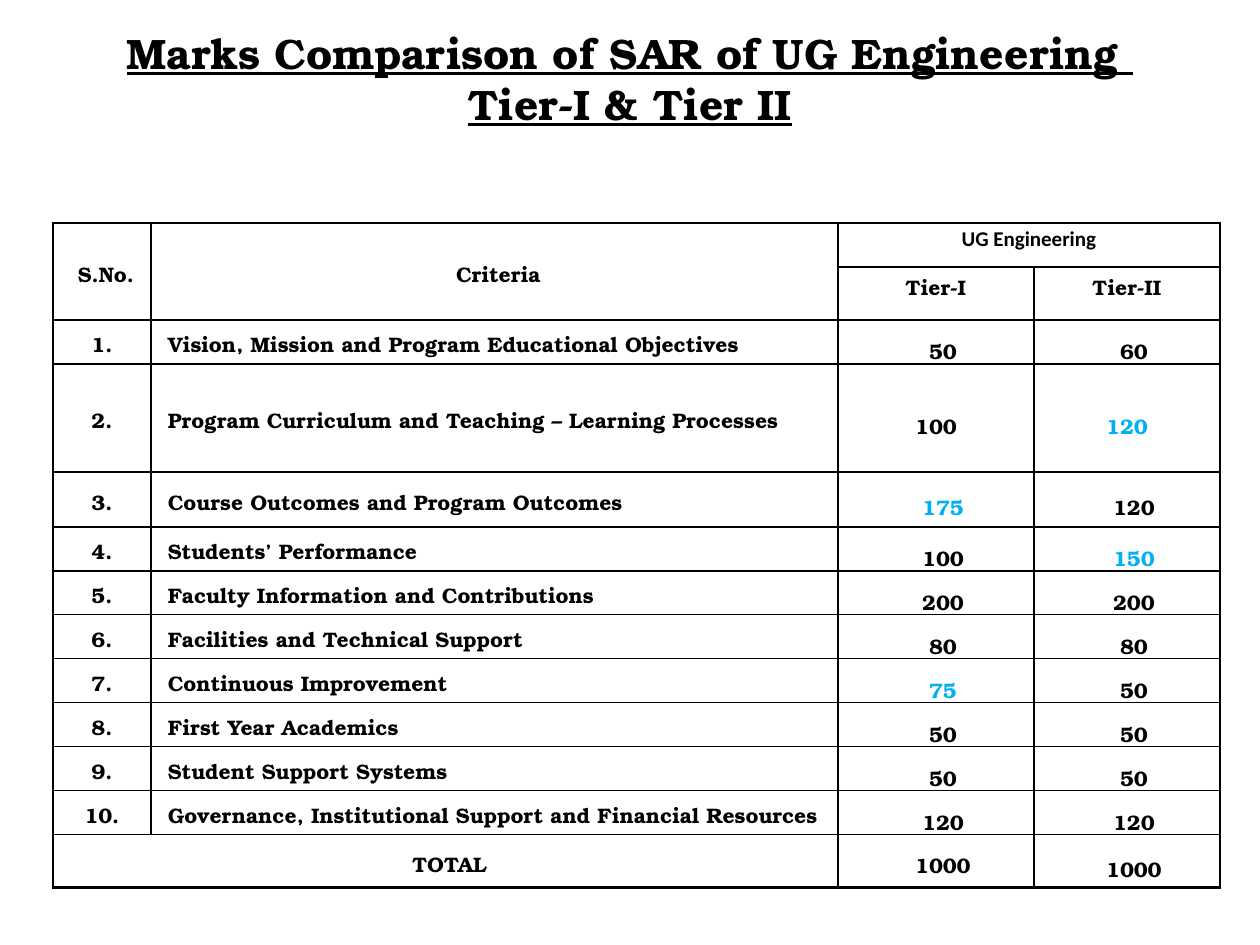
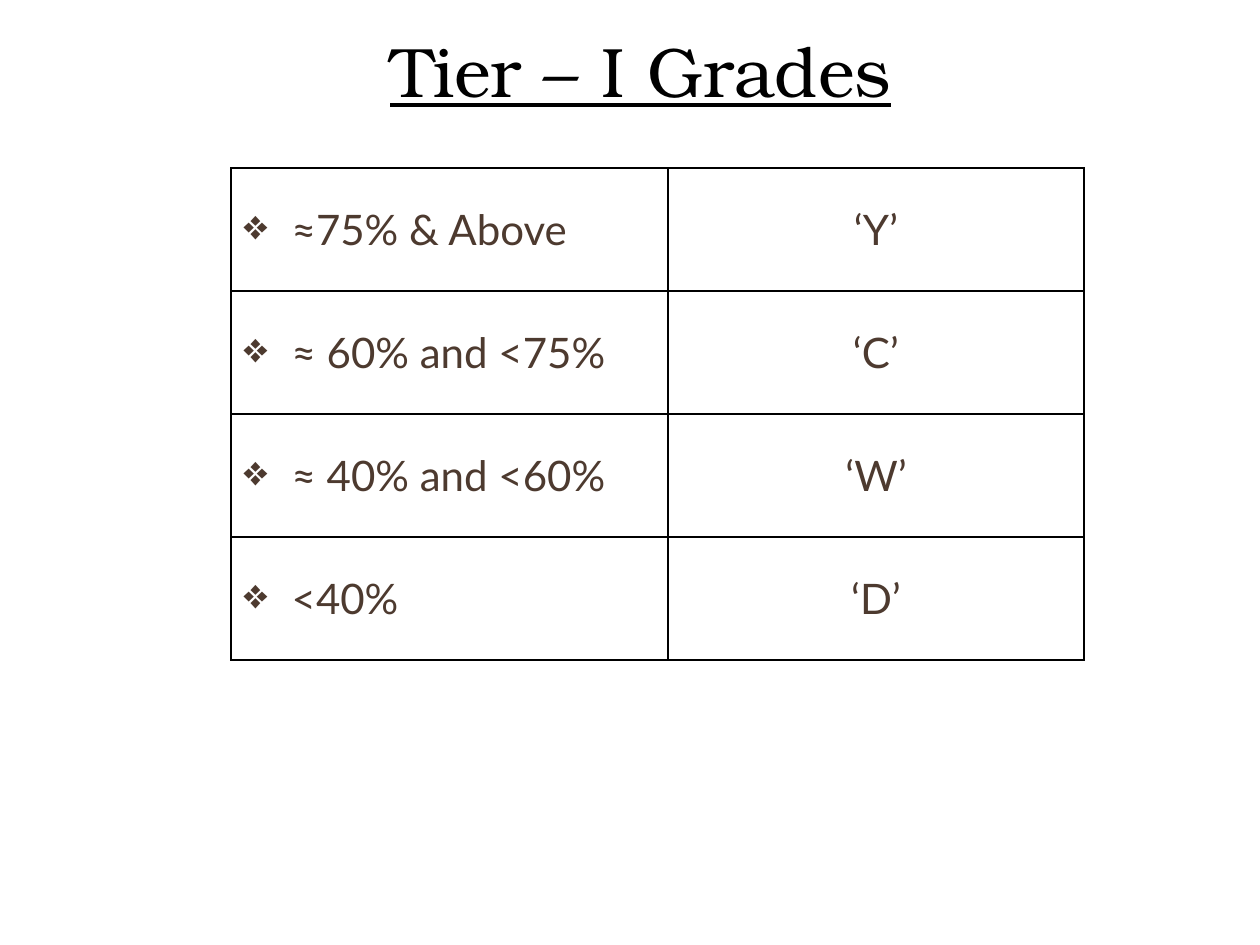
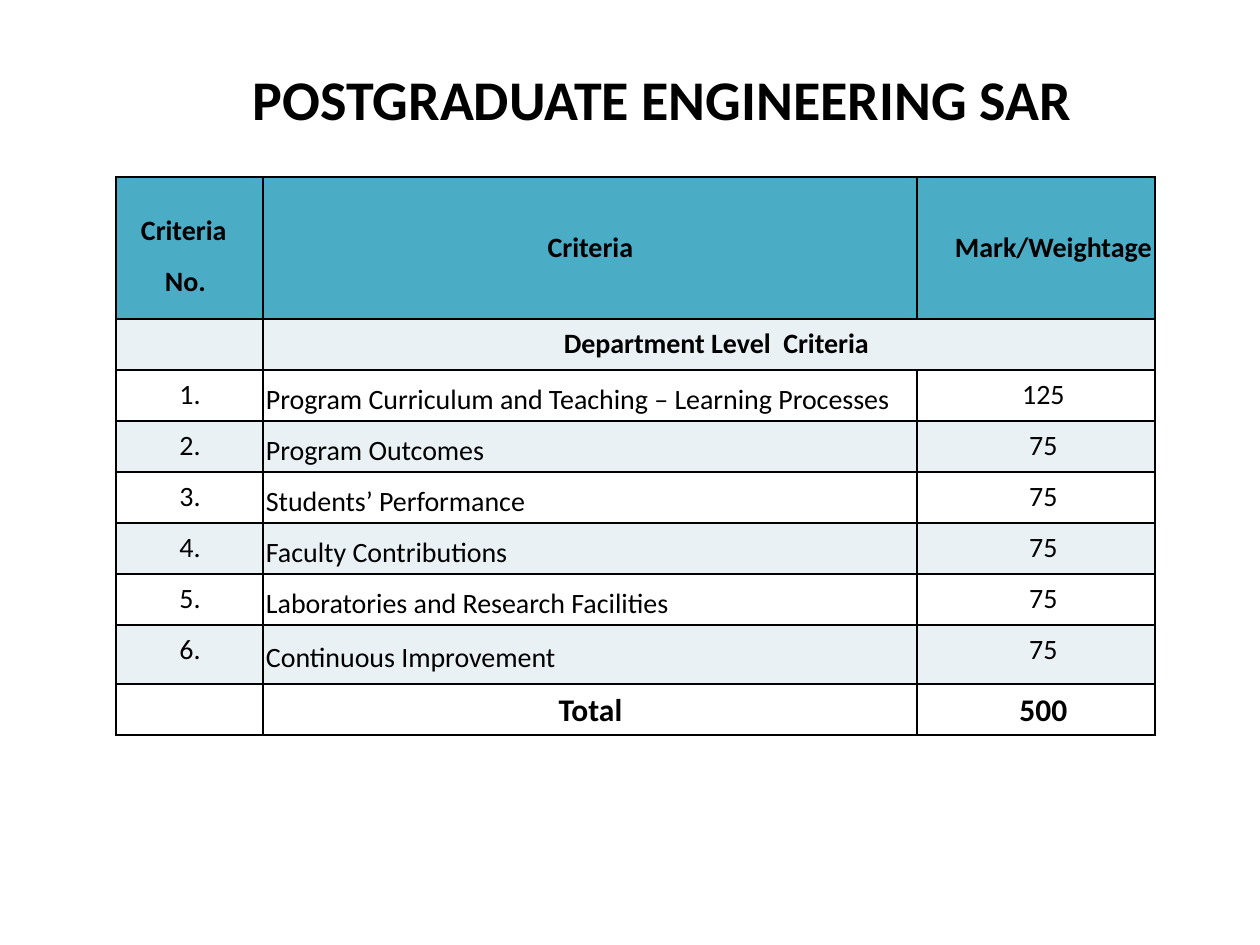
from lxml.etree import SubElement
from pptx import Presentation
from pptx.dml.color import RGBColor
from pptx.enum.text import MSO_ANCHOR, PP_ALIGN
from pptx.oxml.ns import qn
from pptx.util import Emu, Pt


class Theme:
    black = "000000"
    white = "FFFFFF"
    highlight = "00B0F0"
    brown = "4D3A2F"
    header_teal = "4BACC6"
    band_pale = "E9F1F5"
    serif = "TeX Gyre Bonum"
    sans = "Calibri"
    grades = "Lato"
    table_small = Pt(12)
    table_medium = Pt(16)
    table_total = Pt(18)
    table_large = Pt(24)
    title_small = Pt(24.3)
    title_medium = Pt(32)
    title_large = Pt(40)
    thin = 1
    thick = 1.5


def px(length):
    return Emu(round(length * 914400 / 126))


def margins(left, top, right, bottom):
    return {
        "margin_left": px(left),
        "margin_top": px(top),
        "margin_right": px(right),
        "margin_bottom": px(bottom),
    }


def variant(base, **changes):
    merged = dict(base)
    for part, value in changes.items():
        merged[part] = {**base.get(part, {}), **value} if isinstance(value, dict) else value
    return merged


def set_attributes(target, values):
    for name, value in values.items():
        setattr(target, name, value)


class Deck:
    def __init__(self, theme):
        self.theme = theme
        self.presentation = Presentation()
        self.presentation.slide_width = px(1260)
        self.presentation.slide_height = px(945)
        self.slide = None

    def new_slide(self):
        blank = self.presentation.slide_layouts[6]
        self.slide = self.presentation.slides.add_slide(blank)

    def put_text(self, paragraph, text, style):
        paragraph.text = text
        set_attributes(paragraph, style.get("paragraph", {}))
        properties = paragraph._p.get_or_add_pPr()
        left, first = style.get("indent", (0, 0))
        properties.set("marL", str(px(left)))
        properties.set("indent", str(px(first)))
        if "bullet" in style:
            SubElement(properties, qn("a:buChar"), char=style["bullet"])
        for run in paragraph.runs:
            set_attributes(run.font, style["font"])
            run.font.color.rgb = RGBColor.from_string(style.get("color", self.theme.black))

    def title(self, text, bounds, style):
        frame = self.slide.shapes.add_textbox(*map(px, bounds)).text_frame
        frame.word_wrap = True
        set_attributes(frame, style["box"])
        self.put_text(frame.paragraphs[0], text, style)

    def rule(self, cell, widths):
        properties = cell._tc.get_or_add_tcPr()
        for side, width in zip("LRTB", widths):
            line = SubElement(properties, qn(f"a:ln{side}"), w=str(Pt(width)))
            fill = SubElement(line, qn("a:solidFill"))
            SubElement(fill, qn("a:srgbClr"), val=self.theme.black)

    def table(self, origin, widths, heights, rows, rules, merges=()):
        bounds = (*origin, sum(widths), sum(heights))
        table = self.slide.shapes.add_table(len(heights), len(widths), *map(px, bounds)).table
        table.first_row = table.horz_banding = False
        for column, width in zip(table.columns, widths):
            column.width = px(width)
        for row, height in zip(table.rows, heights):
            row.height = px(height)
        for first, last in merges:
            table.cell(*first).merge(table.cell(*last))
        for r, row in enumerate(rows):
            for c, (text, style) in enumerate(row):
                cell = table.cell(r, c)
                self.rule(cell, style.get("rules", rules))
                if "fill" in style:
                    cell.fill.solid()
                    cell.fill.fore_color.rgb = RGBColor.from_string(style["fill"])
                else:
                    cell.fill.background()
                set_attributes(cell, style.get("box", {}))
                if text:
                    self.put_text(cell.text_frame.paragraphs[0], text, style)


def marks_comparison(deck):
    theme = deck.theme
    thin, thick = theme.thin, theme.thick
    deck.new_slide()
    deck.title(
        "Marks Comparison of SAR of UG Engineering \vTier-I & Tier II",
        (63, 27, 1134, 168),
        {
            "box": {**margins(13, 0, 13, 0), "vertical_anchor": MSO_ANCHOR.TOP},
            "paragraph": {"alignment": PP_ALIGN.CENTER},
            "font": {"name": theme.serif, "size": theme.title_small, "bold": True, "underline": True},
        },
    )
    heading = {
        "box": {**margins(9, 0, 9, 0), "vertical_anchor": MSO_ANCHOR.MIDDLE},
        "paragraph": {
            "alignment": PP_ALIGN.CENTER,
            "line_spacing": 1.15,
            "space_before": Pt(3),
            "space_after": Pt(3),
        },
        "font": {"name": theme.serif, "size": theme.table_small, "bold": True},
        "indent": (8, 0),
        "rules": (thick, thick, thick, thin),
    }
    tier = variant(
        heading,
        box={"vertical_anchor": MSO_ANCHOR.TOP},
        paragraph={"space_before": Pt(0), "space_after": Pt(0)},
        indent=(0, 0),
        rules=(thick,) * 4,
    )
    programme = variant(tier, font={"name": theme.sans})
    grid = (thick, thick, thin, thin)
    serial = variant(heading, indent=(48, -48), rules=grid)
    criterion = variant(heading, paragraph={"alignment": PP_ALIGN.LEFT}, rules=grid)
    mark = variant(
        heading,
        paragraph={"line_spacing": 1.5, "space_before": Pt(0), "space_after": Pt(0)},
        indent=(14, 0),
        rules=grid,
    )
    total = variant(heading, rules=(thick, thick, thin, thick))
    total_mark = variant(mark, paragraph={"space_before": Pt(6)}, rules=total["rules"])
    total_first = variant(total_mark, box={"vertical_anchor": MSO_ANCHOR.TOP})
    criteria = [
        ("Vision, Mission and Program Educational Objectives", 50, 60),
        ("Program Curriculum and Teaching – Learning Processes", 100, 120),
        ("Course Outcomes and Program Outcomes", 175, 120),
        ("Students’ Performance", 100, 150),
        ("Faculty Information and Contributions", 200, 200),
        ("Facilities and Technical Support", 80, 80),
        ("Continuous Improvement", 75, 50),
        ("First Year Academics", 50, 50),
        ("Student Support Systems", 50, 50),
        ("Governance, Institutional Support and Financial Resources", 120, 120),
    ]
    rows = [
        [("S.No.", heading), ("Criteria", heading), ("UG Engineering", programme), ("", tier)],
        [("", heading), ("", heading), ("Tier-I", tier), ("Tier-II", tier)],
    ]
    for number, (name, first, second) in enumerate(criteria, 1):
        base = variant(mark, indent=(0, 0)) if number == 2 else mark
        row = [(f"{number}.", serial), (name, criterion)]
        for value, other in ((first, second), (second, first)):
            higher = value > other and number > 1
            row.append((str(value), variant(base, color=theme.highlight) if higher else base))
        rows.append(row)
    rows.append([("TOTAL", total), ("", total), ("1000", total_first), ("1000", total_mark)])
    deck.table(
        (53, 223),
        [98, 687, 196, 186],
        [44, 53, 44, 108, 55] + [44] * 7 + [53],
        rows,
        grid,
        [((0, 0), (1, 0)), ((0, 1), (1, 1)), ((0, 2), (0, 3)), ((12, 0), (12, 1))],
    )


def tier_grades(deck):
    theme = deck.theme
    deck.new_slide()
    deck.title(
        "Tier – I Grades",
        (42, 21, 1197, 98),
        {
            "box": {"vertical_anchor": MSO_ANCHOR.MIDDLE},
            "paragraph": {"alignment": PP_ALIGN.CENTER},
            "font": {"name": theme.serif, "size": theme.title_large, "underline": True},
        },
    )
    grade = {
        "box": {"vertical_anchor": MSO_ANCHOR.MIDDLE},
        "paragraph": {"alignment": PP_ALIGN.CENTER},
        "font": {"name": theme.grades, "size": theme.table_large},
        "color": theme.brown,
    }
    score = variant(grade, paragraph={"alignment": PP_ALIGN.LEFT}, indent=(48, -48), bullet="❖")
    grades = [
        ("≈75% & Above", "‘Y’"),
        ("≈ 60% and <75%", "‘C’"),
        ("≈ 40% and <60%", "‘W’"),
        ("<40%", "‘D’"),
    ]
    rows = [[(band, score), (letter, grade)] for band, letter in grades]
    deck.table((231, 168), [437, 416], [123] * len(rows), rows, (theme.thin,) * 4)


def postgraduate_sar(deck):
    theme = deck.theme
    deck.new_slide()
    deck.title(
        "POSTGRADUATE ENGINEERING SAR",
        (126, 63, 1040, 69),
        {
            "box": {**margins(0, 1, 0, 0), "vertical_anchor": MSO_ANCHOR.MIDDLE},
            "paragraph": {"space_before": Pt(0.9)},
            "font": {"name": theme.sans, "size": theme.title_medium, "bold": True},
            "indent": (127, 0),
        },
    )
    heading = {
        "box": {**margins(0, 0, 0, 0), "vertical_anchor": MSO_ANCHOR.MIDDLE},
        "paragraph": {"alignment": PP_ALIGN.CENTER},
        "font": {"name": theme.sans, "size": theme.table_medium, "bold": True},
        "indent": (1, 0),
        "fill": theme.header_teal,
    }
    left = {"alignment": PP_ALIGN.LEFT}
    number_heading = variant(heading, paragraph={**left, "line_spacing": 1.5}, indent=(49, -24))
    weight_heading = variant(heading, paragraph=left, indent=(38, 0))
    number = variant(
        heading,
        box={"margin_top": px(8), "vertical_anchor": MSO_ANCHOR.TOP},
        paragraph={"space_before": Pt(5.1)},
        font={"bold": False},
        fill=theme.white,
    )
    weight = variant(number, indent=(15, 0))
    criterion = variant(
        number, box={"vertical_anchor": MSO_ANCHOR.MIDDLE}, paragraph=left, indent=(3, 0)
    )
    level = variant(weight, font={"bold": True}, fill=theme.band_pale)
    total_font = {"size": theme.table_total, "bold": True}
    criteria = [
        ("Program Curriculum and Teaching – Learning Processes", 125),
        ("Program Outcomes", 75),
        ("Students’ Performance", 75),
        ("Faculty Contributions", 75),
        ("Laboratories and Research Facilities", 75),
        ("Continuous Improvement", 75),
    ]
    rows = [
        [("Criteria No.", number_heading), ("Criteria", heading), ("Mark/Weightage", weight_heading)],
        [("", level), ("Department Level  Criteria", level), ("", level)],
    ]
    for position, (name, marks) in enumerate(criteria, 1):
        band = theme.white if position % 2 else theme.band_pale
        texts = (f"{position}.", name, str(marks))
        styles = (number, criterion, weight)
        rows.append([(text, variant(style, fill=band)) for text, style in zip(texts, styles)])
    rows.append([
        ("", number),
        ("Total", variant(number, font=total_font)),
        ("500", variant(weight, font=total_font)),
    ])
    deck.table(
        (116, 177),
        [147, 654, 238],
        [142] + [51] * 6 + [59, 51],
        rows,
        (theme.thin,) * 4,
        [((1, 1), (1, 2))],
    )


def main():
    deck = Deck(Theme())
    marks_comparison(deck)
    tier_grades(deck)
    postgraduate_sar(deck)
    deck.presentation.save("out.pptx")


if __name__ == "__main__":
    main()
